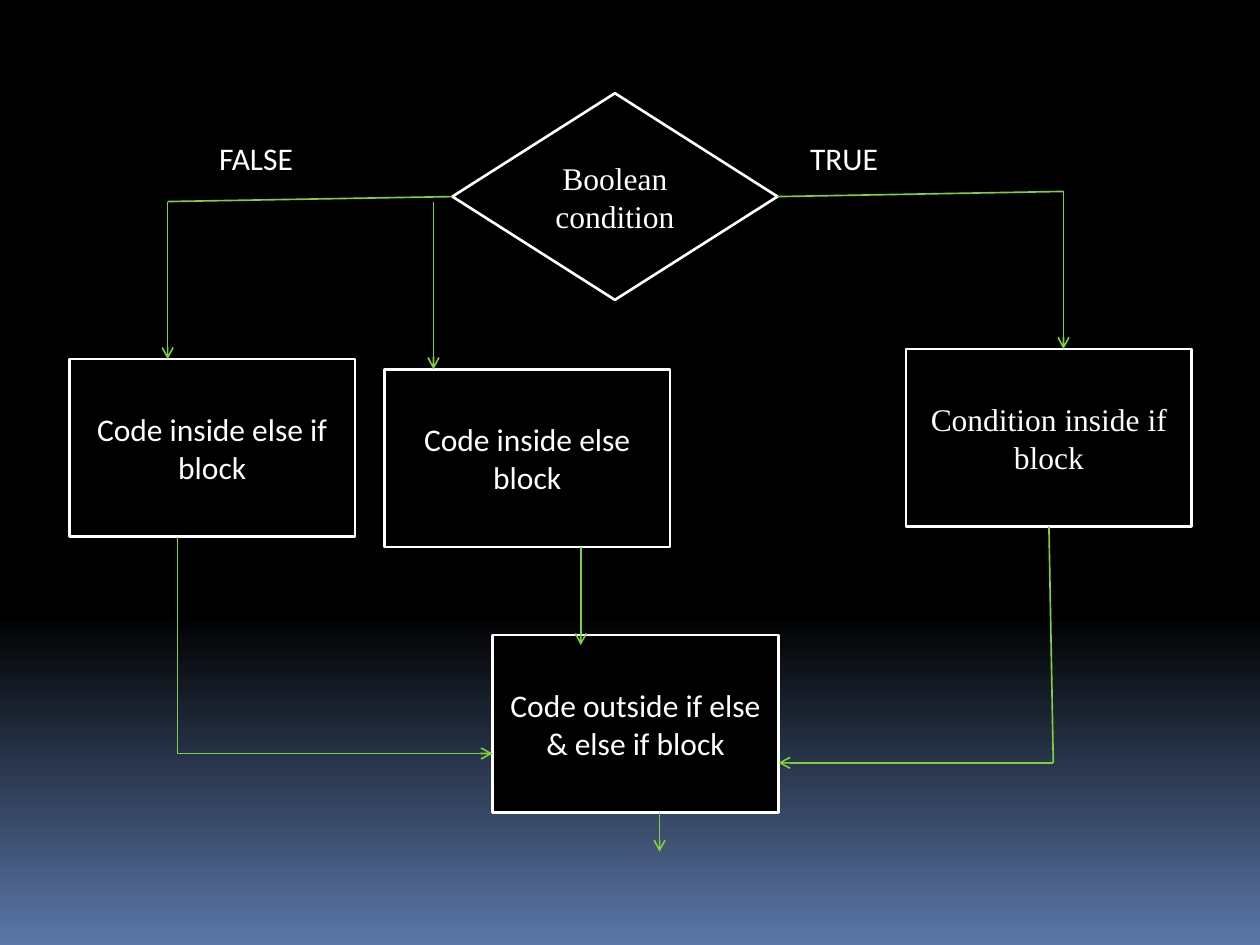
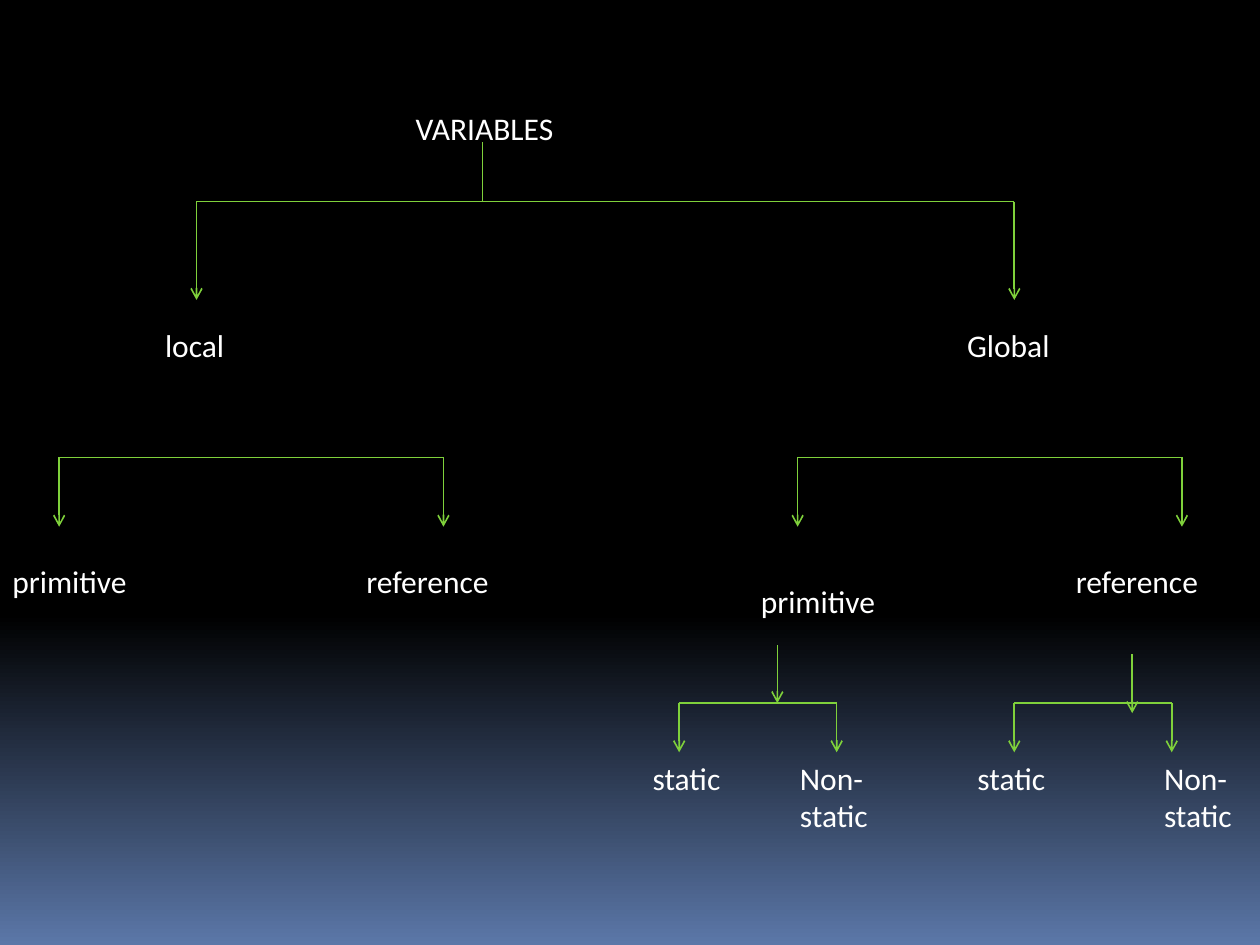
"""Build two slides: an if / else-if / else flowchart and a tree of variable kinds."""
import copy

import pptx
import pptx.dml.color
import pptx.enum.shapes
import pptx.enum.text
import pptx.oxml
import pptx.oxml.ns
import pptx.util

Pt = pptx.util.Pt
qn = pptx.oxml.ns.qn
SHAPES = pptx.enum.shapes.MSO_SHAPE
STRAIGHT = pptx.enum.shapes.MSO_CONNECTOR.STRAIGHT
CENTER = pptx.enum.text.PP_ALIGN.CENTER
MIDDLE = pptx.enum.text.MSO_ANCHOR.MIDDLE
GROW = pptx.enum.text.MSO_AUTO_SIZE.SHAPE_TO_FIT_TEXT

BLACK, WHITE, GREEN, BLUE = "000000", "FFFFFF", "7FD13B", "5B77A8"
SANS, SERIF = "Calibri", "Times New Roman"
BLOCK_WIDTH, BLOCK_HEIGHT = 163.4, 101.5
LABEL_HEIGHT = 29
LEFT_SIDE, BOTTOM_SIDE, RIGHT_SIDE = 1, 2, 3


def color(code):
    """Turn a hex string into a colour."""
    return pptx.dml.color.RGBColor.from_string(code)


def apply(target, values):
    """Set every attribute named in a dict of format values."""
    for name, value in values.items():
        setattr(target, name, value)


def paint_background(master):
    """Give all slides black that fades to blue at the foot."""
    fill = master.background.fill
    fill.gradient()
    fill.gradient_angle = 270
    stops = next(master._element.iter(qn("a:gsLst")))
    stops.insert(1, copy.deepcopy(stops[0]))
    for stop, (position, code) in zip(fill.gradient_stops, [(0, BLACK), (0.65, BLACK), (1, BLUE)]):
        stop.position = position
        stop.color.rgb = color(code)


def write(frame, lines, font, align=None):
    """Write white paragraphs into a text frame."""
    frame.word_wrap = True
    for index, line in enumerate(lines):
        para = frame.add_paragraph() if index else frame.paragraphs[0]
        para.alignment = align
        span = para.add_run()
        span.text = line
        apply(span.font, {"name": font, "size": Pt(18)})
        span.font.color.rgb = color(WHITE)


def add_block(page, kind, box, lines, font):
    """Add a black, white-edged shape with centred text."""
    block = page.shapes.add_shape(kind, *map(Pt, box))
    block.shadow.inherit = False
    block.fill.solid()
    block.fill.fore_color.rgb = color(BLACK)
    block.line.width = Pt(1.5)
    block.line.color.rgb = color(WHITE)
    block.text_frame.vertical_anchor = MIDDLE
    write(block.text_frame, lines, font, CENTER)
    return block


def add_label(page, box, text, indent=7.2):
    """Add a plain white label."""
    frame = page.shapes.add_textbox(*map(Pt, box)).text_frame
    write(frame, [text], SANS)
    apply(frame, {"auto_size": GROW, "margin_left": Pt(indent)})


def add_route(page, points, arrow=True, start=None):
    """Join points with green lines, optionally from a (shape, side) pair."""
    for index, (begin, end) in enumerate(zip(points, points[1:])):
        line = page.shapes.add_connector(STRAIGHT, *map(Pt, begin + end))
        if start and index == 0:
            line.begin_connect(*start)
        line.line.width = Pt(0.94)
        line.line.color.rgb = color(GREEN)
        properties = line._element.spPr
        if arrow and index == len(points) - 2:
            tail = pptx.oxml.parse_xml(
                f'<a:tailEnd {pptx.oxml.ns.nsdecls("a")} type="arrow"/>')
            properties.find(qn("a:ln")).append(tail)
        properties.append(pptx.oxml.parse_xml(f'<a:effectLst {pptx.oxml.ns.nsdecls("a")}/>'))


def draw_flowchart(page, box):
    """Draw the decision, its three blocks and the block they lead to."""
    left, top, width, height = box

    def at(x, y):
        return left + x, top + y

    decision = add_block(page, SHAPES.DIAMOND, at(218.9, 0) + (185.8, 118.1),
                         ["Boolean", "condition"], SERIF)
    blocks = {}
    for name, x, y, text, font in [
        ("if", width - BLOCK_WIDTH, 146.1, "Condition inside if block", SERIF),
        ("outside", 241.9, 309.6, "Code outside if else & else if block", SANS),
        ("else if", 0, 151.9, "Code inside else if block", SANS),
        ("else", 180, 157.7, "Code inside else block", SANS),
    ]:
        blocks[name] = add_block(page, SHAPES.RECTANGLE, at(x, y) + (BLOCK_WIDTH, BLOCK_HEIGHT),
                                 [text], font)

    for points, start in [
        ([(404.7, 59), (568.1, 56.1), (568.1, 146.1)], (decision, RIGHT_SIDE)),
        ([(218.9, 59), (56.2, 61.9), (56.2, 151.9)], (decision, LEFT_SIDE)),
        ([(208.1, 61.9), (208.1, 157.7)], None),
        ([(559.6, 247.6), (562.3, 382.6), (405.3, 382.6)], (blocks["if"], BOTTOM_SIDE)),
        ([(61.9, 253.4), (61.9, 377.3), (241.9, 377.3)], None),
        ([(292.3, 259.2), (292.3, 315.3)], None),
        ([(337.3, 411.1), (337.3, height)], None),
    ]:
        add_route(page, [at(*point) for point in points], start=start)

    add_label(page, at(416.2, 22.3) + (135, LABEL_HEIGHT), "TRUE")
    add_label(page, at(78.5, 22.3) + (118, LABEL_HEIGHT), "FALSE")


def draw_fork(page, box, labels, stem=None):
    """Draw a bar with an arrow and a label at each end, and a stem if given."""
    left, top, width, height = box
    right, bottom = left + width, top + height
    add_route(page, [(left, top), (right, top)], arrow=False)
    for end, (text, shift, drop, label_width, *indent) in zip((left, right), labels):
        add_route(page, [(end, top), (end, bottom)])
        add_label(page, (end + shift, bottom + drop, label_width, LABEL_HEIGHT), text, *indent)
    if stem:
        shift, rise, fall, arrow = stem
        add_route(page, [(left + shift, top - rise), (left + shift, top + fall)], arrow)


def draw_variable_tree(page, box):
    """Draw the heading and the forks from variables down to static kinds."""
    left, top, width, height = box
    middle, foot = top + 202.4, top + height - 28.1
    add_label(page, (left + 196.6, top, 230.4, LABEL_HEIGHT), "VARIABLES")
    draw_fork(page, (left + 78.5, top + 56.2, 467.3, 56.2),
              [("local", -61.9, 11.5, 140.4, 43.9), ("Global", -61.9, 11.5, 135.4, 34.9)],
              (163.5, 33.8, 0, False))
    draw_fork(page, (left, middle, 219.6, 39.6),
              [("primitive", -33.8, 16.5, 106.6), ("reference", -51.1, 16.5, 101.5)])
    draw_fork(page, (left + width - 219.6, middle, 219.6, 39.6),
              [("primitive", -28.1, 28, 95.8), ("reference", -67.7, 16.5, 112.3)])
    draw_fork(page, (left + 354.3, foot, 90, 28.1),
              [("static", -22.3, 0, 78.5), ("Non-static", -28.1, 0, 78.5)],
              (56.1, 33.2, 0, True))
    draw_fork(page, (left + 545.8, foot, 90, 28.1),
              [("static", -28.1, 0, 61.9), ("Non-static", -11.5, 0, 61.9)],
              (67.4, 28.1, 5.7, True))


def main():
    """Build and save the deck."""
    deck = pptx.Presentation()
    apply(deck, {"slide_width": Pt(720), "slide_height": Pt(540)})
    paint_background(deck.slide_master)
    blank = deck.slide_layouts[6]
    draw_flowchart(deck.slides.add_slide(blank), (39.6, 53.3, 641.5, 433.4))
    draw_variable_tree(deck.slides.add_slide(blank), (33.8, 59, 641.6, 370.9))
    deck.save("out.pptx")


if __name__ == "__main__":
    main()
